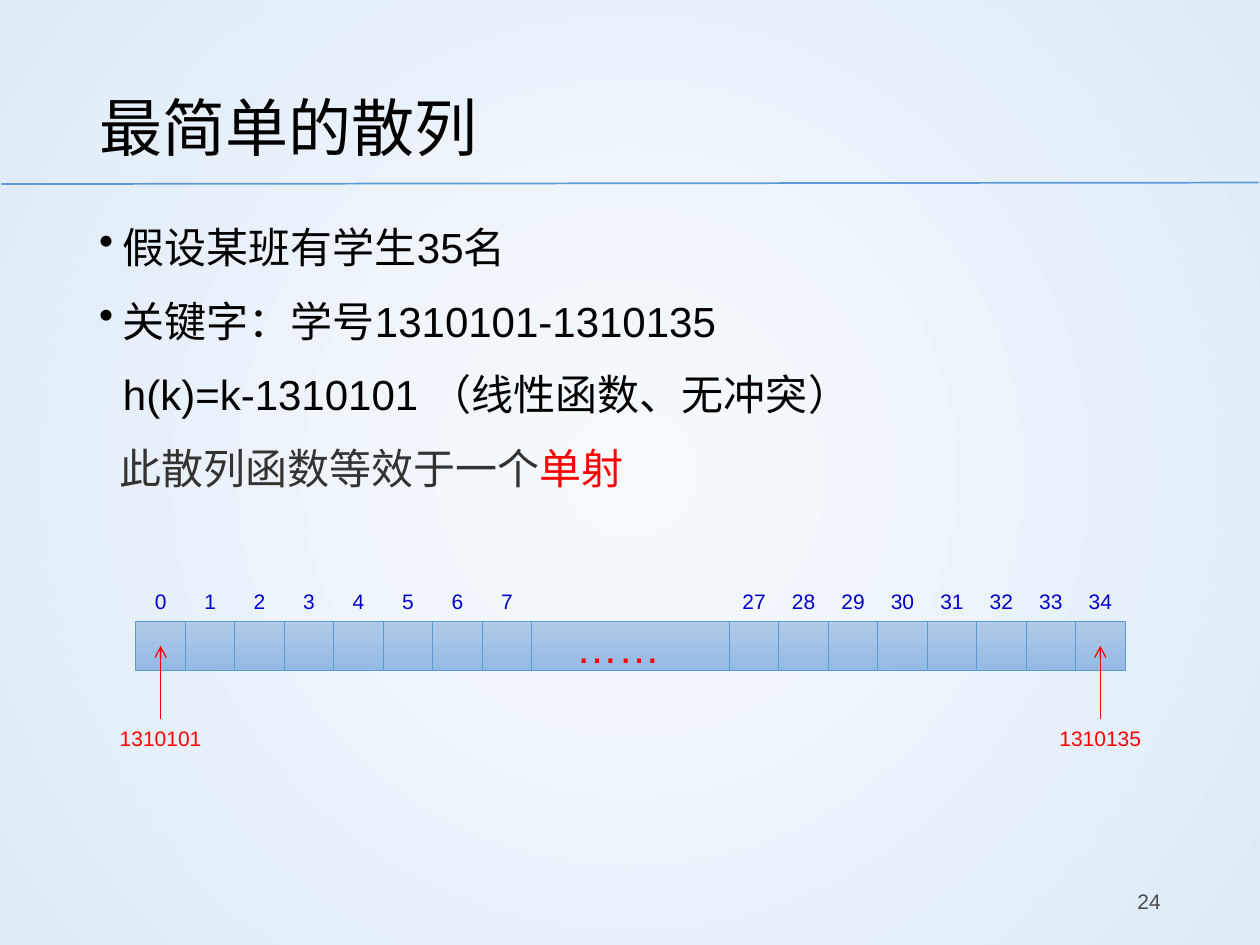
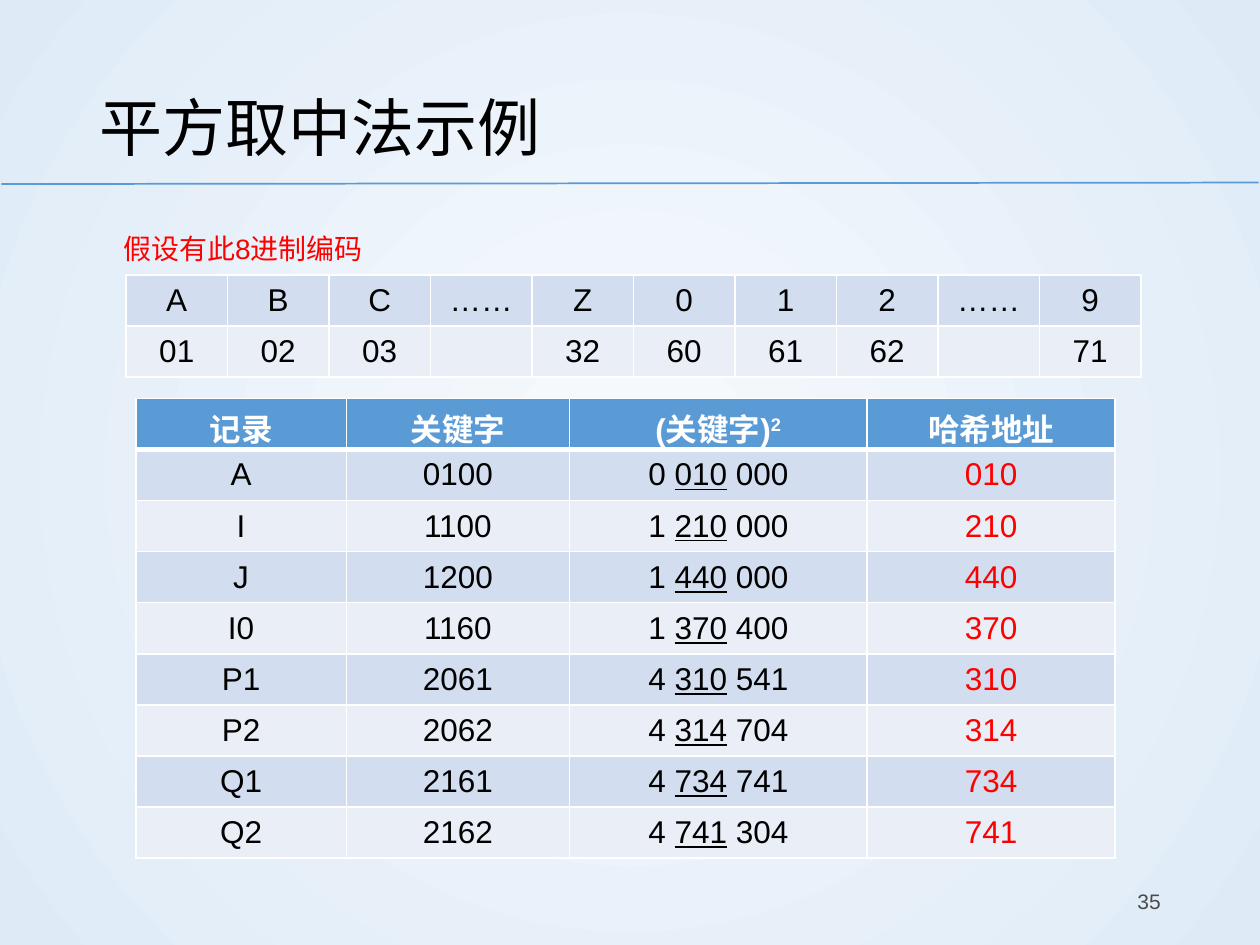
from lxml.etree import SubElement
from pptx import Presentation
from pptx.dml.color import RGBColor
from pptx.enum.shapes import MSO_CONNECTOR, MSO_SHAPE
from pptx.enum.text import MSO_ANCHOR, MSO_AUTO_SIZE, PP_ALIGN
from pptx.oxml.ns import qn
from pptx.util import Cm, Pt

FONT = "Arial"
BLACK, WHITE, RED = "000000", "FFFFFF", "FF0000"
BLUE, NAVY, GREY, DARK = "5B9BD5", "0000CC", "4B4B4B", "333333"
BANDS = ("D2DEEF", "EAEFF7")
GLOW = ("F7FAFD", "DEEBF7")
CELL = ("B1CBE9", "93B9E4")
LEFT, MID, RIGHT = PP_ALIGN.LEFT, PP_ALIGN.CENTER, PP_ALIGN.RIGHT

# Boxes in cm: left, top, width, height
TITLE = (1.75, 1.02, 21.9, 2.74)
BODY = (1.75, 4.14, 21.9, 7)
PAGE = (17.93, 17.65, 5.72, 1.02)
ARRAY = (2.74, 12.52, 19.94, 1)
NOTE = (2.24, 4.55, 17.93, 0.94)
CODES = (2.54, 5.54, 20.47, 2.06)
HASHES = (2.74, 8.03, 19.74, 9.27)


def rgb(hue):
    return RGBColor.from_string(hue)


def place(box):
    return [Cm(n) for n in box]


def write(par, parts, size, hue, align=LEFT, bold=False):
    """Fill a paragraph with one run for each part."""
    par.text = parts[0]
    for part in parts[1:]:
        par.add_run().text = part
    par.alignment = align
    for run in par.runs:
        font = run.font
        font.name, font.size, font.bold = FONT, Pt(size), bold
        font.color.rgb = rgb(hue)
    return par.runs


def label(slide, box, text, size, hue, align=LEFT, side=0.25, anchor=MSO_ANCHOR.TOP):
    shape = slide.shapes.add_textbox(*place(box))
    frame = shape.text_frame
    frame.word_wrap = True
    frame.margin_left = frame.margin_right = Cm(side)
    frame.vertical_anchor = anchor
    write(frame.paragraphs[0], [text], size, hue, align)
    return shape


def line(slide, start, end, hue, width):
    link = slide.shapes.add_connector(MSO_CONNECTOR.STRAIGHT, *place(start + end))
    link.line.color.rgb = rgb(hue)
    link.line.width = Pt(width)
    SubElement(link._element.spPr, qn("a:effectLst"))
    return link


def shade(fill, hues):
    fill.gradient()
    for stop, hue, spot in zip(fill.gradient_stops, hues, (0, 1)):
        stop.color.rgb = rgb(hue)
        stop.position = spot


def backdrop(master):
    """Radial glow behind every slide."""
    fill = master.background.fill
    shade(fill, GLOW)
    grad = master._element.find(".//" + qn("p:bgPr")).find(qn("a:gradFill"))
    old = grad.find(qn("a:lin"))
    ring = SubElement(grad, qn("a:path"), path="circle")
    SubElement(ring, qn("a:fillToRect"), l="50000", t="50000", r="50000", b="50000")
    grad.replace(old, ring)


def start(deck, title, page):
    """Title, rule and page number shared by the slides."""
    slide = deck.slides.add_slide(deck.slide_layouts[5])
    head = slide.shapes.title
    head.left, head.top, head.width, head.height = place(TITLE)
    frame = head.text_frame
    frame.auto_size = MSO_AUTO_SIZE.NONE
    frame.vertical_anchor = MSO_ANCHOR.MIDDLE
    par = frame.paragraphs[0]
    write(par, [title], 36, BLACK)
    par.line_spacing = 1.2
    line(slide, (0.03, 3.71), (25.37, 3.68), BLUE, 1)
    label(slide, PAGE, str(page), 12, GREY, RIGHT, anchor=MSO_ANCHOR.MIDDLE)
    return slide


def points(slide, box):
    """Bulleted facts, then two indented lines."""
    rows = [
        (["假设某班有学生35名"], BLACK, 0.48, True),
        (["关键字：学号1310101-1310135"], BLACK, 0.48, True),
        (["h(k)=k-1310101 （线性函数、无冲突）"], BLACK, 0.48, False),
        (["此散列函数等效于一个", "单射"], DARK, 0.41, False),
    ]
    frame = slide.shapes.add_textbox(*place(box)).text_frame
    frame.word_wrap = True
    for i, (parts, hue, indent, dot) in enumerate(rows):
        par = frame.add_paragraph() if i else frame.paragraphs[0]
        prop = par._p.get_or_add_pPr()
        prop.set("marL", str(Cm(indent)))
        if dot:
            prop.set("indent", str(-Cm(indent)))
            SubElement(prop, qn("a:buChar"), char="•")
        runs = write(par, parts, 24, hue)
        par.line_spacing = 1.2
        if i:
            par.space_before = Pt(7.5)
    runs[-1].font.color.rgb = rgb(RED)


def slot(slide, box):
    shape = slide.shapes.add_shape(MSO_SHAPE.RECTANGLE, *place(box))
    shape.shadow.inherit = False
    shade(shape.fill, CELL)
    shape.fill.gradient_angle = 270
    shape.line.color.rgb = rgb(BLUE)
    shape.line.width = Pt(0.5)
    return shape


def array(slide, box):
    """Hash table of 35 slots, the middle ones folded into one wide slot."""
    x, y, w, h = box
    step = w / 20
    spots = list(range(8)) + list(range(12, 20))
    for spot in spots:
        left = x + spot * step
        index = spot if spot < 8 else spot + 15
        slot(slide, (left, y, step, h))
        label(slide, (left, y - 0.79, step, 0.77), str(index), 12, NAVY, MID, 0)

    frame = slot(slide, (x + 8 * step, y, 4 * step, h)).text_frame
    frame.margin_left = frame.margin_top = frame.margin_bottom = 0
    frame.margin_right = Cm(0.5)
    frame.vertical_anchor = MSO_ANCHOR.TOP
    write(frame.paragraphs[0], ["……"], 24, RED, MID)

    # Keys pointing at the first and last slot
    for spot, key in ((0, "1310101"), (19, "1310135")):
        mid = x + (spot + 0.5) * step
        low = y + 1.98
        text = label(slide, (mid - 1.5, low, 3, 0.77), key, 12, RED, MID)
        arrow = line(slide, (mid, low), (mid, y + h / 2), RED, 0.75)
        arrow.begin_connect(text, 0)
        SubElement(arrow.line._get_or_add_ln(), qn("a:tailEnd"), type="arrow")


def edge(cell, top=1, low=1):
    """White borders, placed ahead of the cell's fill."""
    prop = cell._tc.get_or_add_tcPr()
    for i, (side, width) in enumerate((("L", 1), ("R", 1), ("T", top), ("B", low))):
        rim = SubElement(prop, qn("a:ln" + side), w=str(Pt(width)))
        paint = SubElement(rim, qn("a:solidFill"))
        SubElement(paint, qn("a:srgbClr"), val=WHITE)
        prop.insert(i, rim)


def grid(slide, box, rows, widths, header=False):
    """Banded table; each cell is a list of runs."""
    shape = slide.shapes.add_table(len(rows), len(widths), *place(box))
    table = shape.table
    table.first_row = table.horz_banding = False
    for col, width in zip(table.columns, widths):
        col.width = Cm(width)
    for r, row in enumerate(rows):
        table.rows[r].height = Cm(box[3] / len(rows))
        top = header and r == 0
        for c, parts in enumerate(row):
            cell = table.cell(r, c)
            cell.vertical_anchor = MSO_ANCHOR.MIDDLE
            cell.fill.solid()
            cell.fill.fore_color.rgb = rgb(BLUE if top else BANDS[(r - header) % 2])
            edge(cell, 3 if header and r == 1 else 1, 3 if top else 1)
            par = cell.text_frame.paragraphs[0]
            write(par, parts, 18, WHITE if top else BLACK, MID, top)
    return table


def codes(slide, box):
    """Octal code of each character."""
    signs = ["A", "B", "C", "……", "Z", "0", "1", "2", "……", "9"]
    octal = ["01", "02", "03", "", "32", "60", "61", "62", "", "71"]
    rows = [[[text] for text in row] for row in (signs, octal)]
    grid(slide, box, rows, [box[2] / len(signs)] * len(signs))


def hashes(slide, box):
    """Keys, their squares and the middle digits used as address."""
    data = [
        ("A", "0100", "0 010 000"),
        ("I", "1100", "1 210 000"),
        ("J", "1200", "1 440 000"),
        ("I0", "1160", "1 370 400"),
        ("P1", "2061", "4 310 541"),
        ("P2", "2062", "4 314 704"),
        ("Q1", "2161", "4 734 741"),
        ("Q2", "2162", "4 741 304"),
    ]
    rows = [[["记录"], ["关键字"], ["(关键字)", "2"], ["哈希地址"]]]
    for name, key, square in data:
        head, core, tail = square.split()
        rows.append([[name], [key], [head + " ", core, " " + tail], [core]])
    table = grid(slide, box, rows, (4.24, 4.5, 6, 5), header=True)

    def runs(r, c):
        return table.cell(r, c).text_frame.paragraphs[0].runs

    runs(0, 2)[1]._r.get_or_add_rPr().set("baseline", "30000")
    for r in range(1, len(rows)):
        runs(r, 2)[1].font.underline = True
        runs(r, 3)[0].font.color.rgb = rgb(RED)


def main():
    deck = Presentation()
    deck.slide_width, deck.slide_height = Cm(25.4), Cm(19.05)
    backdrop(deck.slide_master)

    # Simplest hash
    slide = start(deck, "最简单的散列", 24)
    points(slide, BODY)
    array(slide, ARRAY)

    # Mid-square example
    slide = start(deck, "平方取中法示例", 35)
    label(slide, NOTE, "假设有此8进制编码", 16, RED)
    codes(slide, CODES)
    hashes(slide, HASHES)

    deck.save("out.pptx")


if __name__ == "__main__":
    main()
